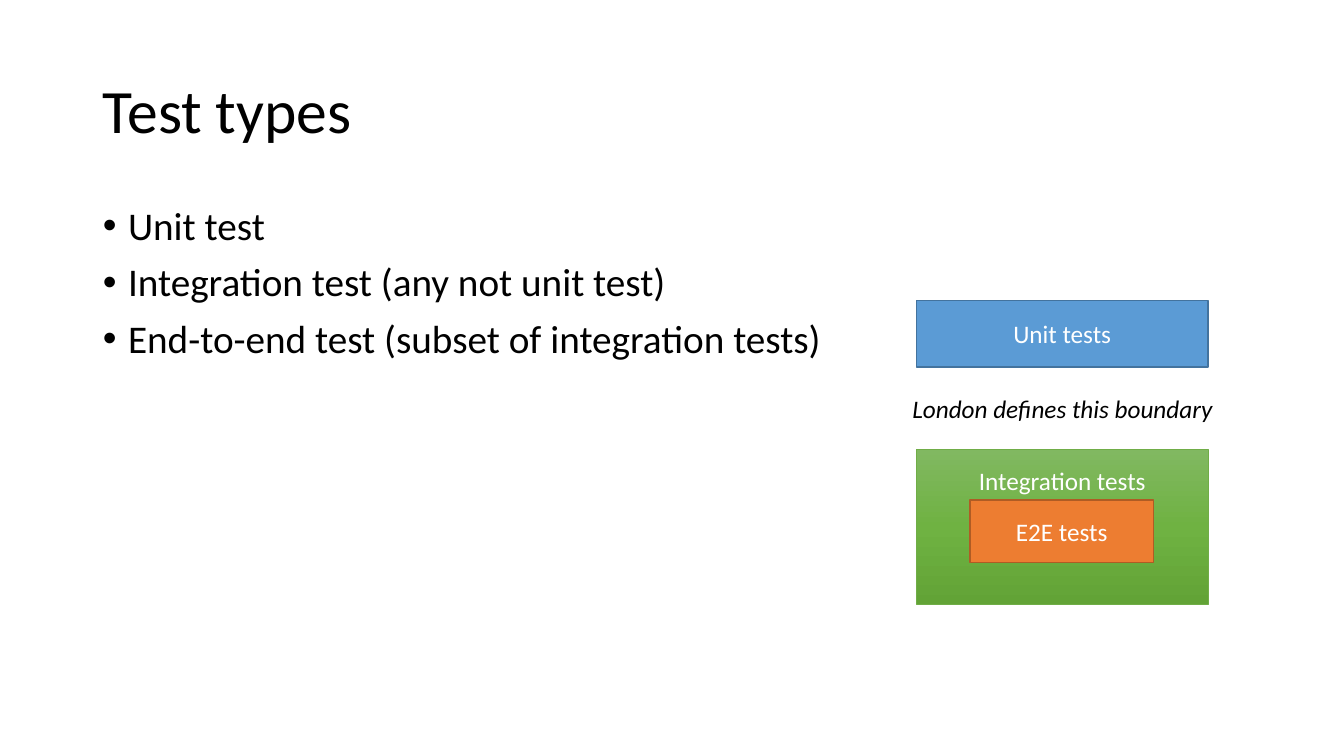
from copy import deepcopy

from pptx import Presentation
from pptx.dml.color import RGBColor
from pptx.enum.shapes import MSO_SHAPE
from pptx.enum.text import MSO_ANCHOR, MSO_AUTO_SIZE, PP_ALIGN
from pptx.oxml.ns import qn
from pptx.util import Inches, Pt

RECTANGLE = MSO_SHAPE.RECTANGLE
TOP, MIDDLE = MSO_ANCHOR.TOP, MSO_ANCHOR.MIDDLE
LEFT, CENTER = PP_ALIGN.LEFT, PP_ALIGN.CENTER
NO_AUTOFIT = MSO_AUTO_SIZE.NONE


def color(value):
    return RGBColor.from_string(value)


def write(box, lines, size, ink, para_format, italic=False):
    """Fill a shape with one formatted paragraph per line."""
    frame = box.text_frame
    frame.text = "\n".join(lines)
    for para in frame.paragraphs:
        for name, value in para_format.items():
            setattr(para, name, value)
        font_format = {"name": "Calibri", "size": Pt(size), "italic": italic}
        for span in para.runs:
            for name, value in font_format.items():
                setattr(span.font, name, value)
            span.font.color.rgb = color(ink)


deck = Presentation()
deck.slide_width, deck.slide_height = Inches(13.33), Inches(7.5)
page = deck.slides.add_slide(deck.slide_layouts[1])

# Title and bullet list
title, body = page.shapes.title, page.placeholders[1]
for box, top, height, anchor in [(title, 0.4, 1.45, MIDDLE), (body, 2, 4.76, TOP)]:
    box.left, box.top = Inches(0.92), Inches(top)
    box.width, box.height = Inches(11.5), Inches(height)
    box.text_frame.auto_size = NO_AUTOFIT
    box.text_frame.vertical_anchor = anchor

write(title, ["Test types"], 44, "000000",
      {"alignment": LEFT, "line_spacing": 0.9, "space_before": Pt(0)})
bullets = ["Unit test", "Integration test (any not unit test)",
           "End-to-end test (subset of integration tests)"]
write(body, bullets, 28, "000000",
      {"alignment": LEFT, "line_spacing": 0.9, "space_before": Pt(10)})
for para in body.text_frame.paragraphs:
    properties = para._p.get_or_add_pPr()
    properties.set("marL", str(Inches(0.25)))
    properties.set("indent", str(-Inches(0.25)))

# Test boxes, from back to front
test_boxes = [
    ("Unit tests", 9.09, 2.98, 2.89, 0.66, "5B9BD5", "43739E", 1),
    ("Integration tests", 9.09, 4.46, 2.89, 1.54, "6FB242", "70AD47", 0.5),
    ("E2E tests", 9.62, 4.96, 1.82, 0.62, "ED7D31", "AF5C24", 1),
]
boxes = {}
for label, left, top, width, height, fill, line, weight in test_boxes:
    box = page.shapes.add_shape(RECTANGLE, Inches(left), Inches(top),
                                Inches(width), Inches(height))
    box.shadow.inherit = False
    box.fill.solid()
    box.fill.fore_color.rgb = color(fill)
    box.line.color.rgb = color(line)
    box.line.width = Pt(weight)
    box.text_frame.vertical_anchor = MIDDLE
    write(box, [label], 18, "FFFFFF", {"alignment": CENTER})
    boxes[label] = box

# The integration box is shaded and keeps its label above the E2E box
integration = boxes["Integration tests"]
integration.text_frame.vertical_anchor = TOP
integration.text_frame.margin_top = Inches(0.16)
integration.fill.gradient()
integration.fill.gradient_angle = 270
stop_list = integration._element.spPr.find(qn("a:gradFill")).find(qn("a:gsLst"))
stop_list.insert(1, deepcopy(stop_list[0]))
shades = [(0, "81B861"), (0.5, "6FB242"), (1, "62A336")]
for stop, (position, shade) in zip(integration.fill.gradient_stops, shades):
    stop.position = position
    stop.color.rgb = color(shade)

# Caption between unit and integration tests
caption = page.shapes.add_textbox(Inches(8.95), Inches(3.85), Inches(3.21), Inches(0.4))
caption.text_frame.word_wrap = False
write(caption, ["London defines this boundary"], 18, "000000",
      {"alignment": LEFT}, italic=True)

deck.save("out.pptx")
